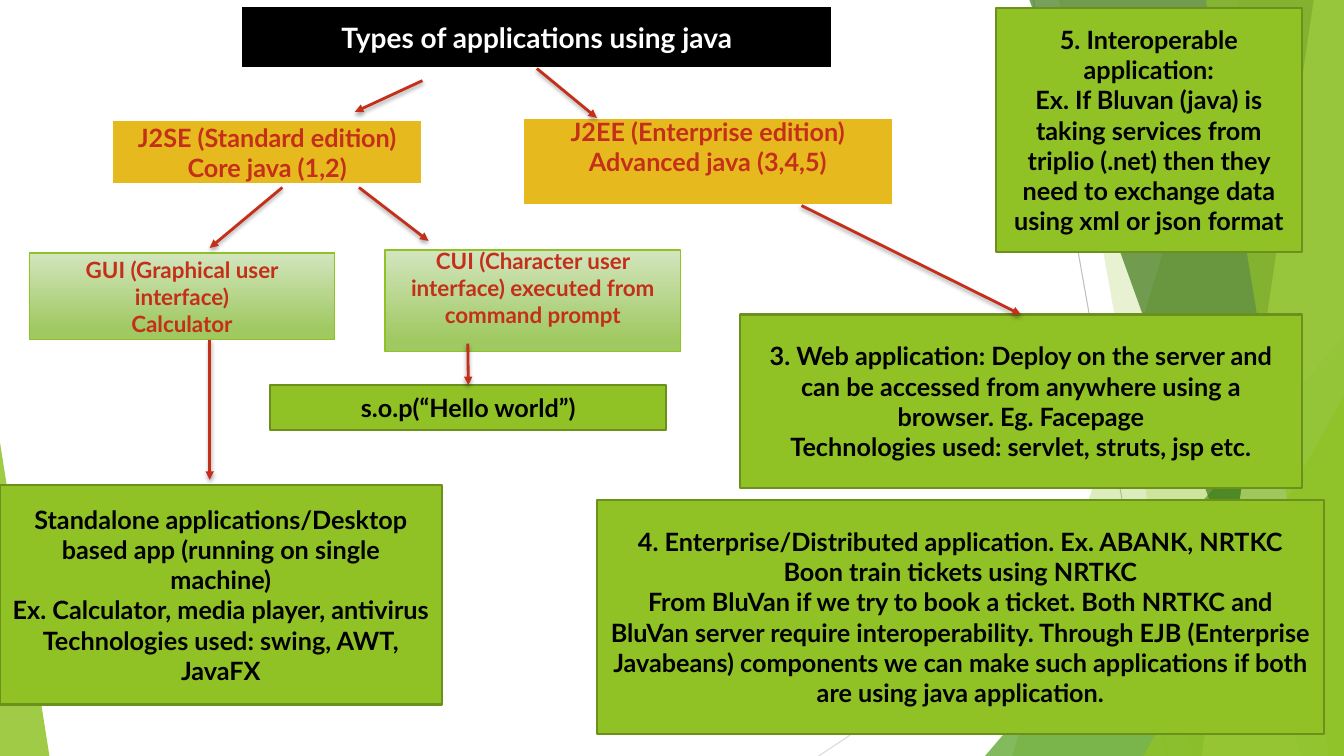
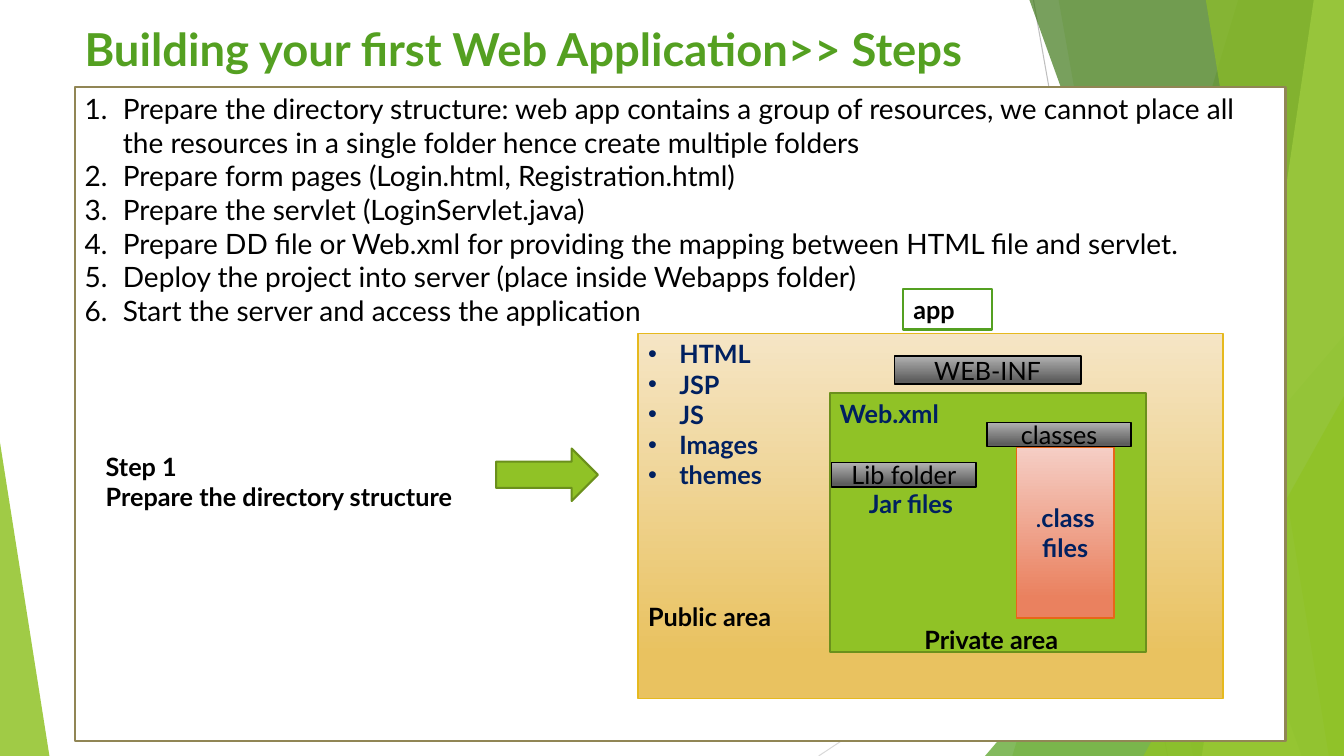
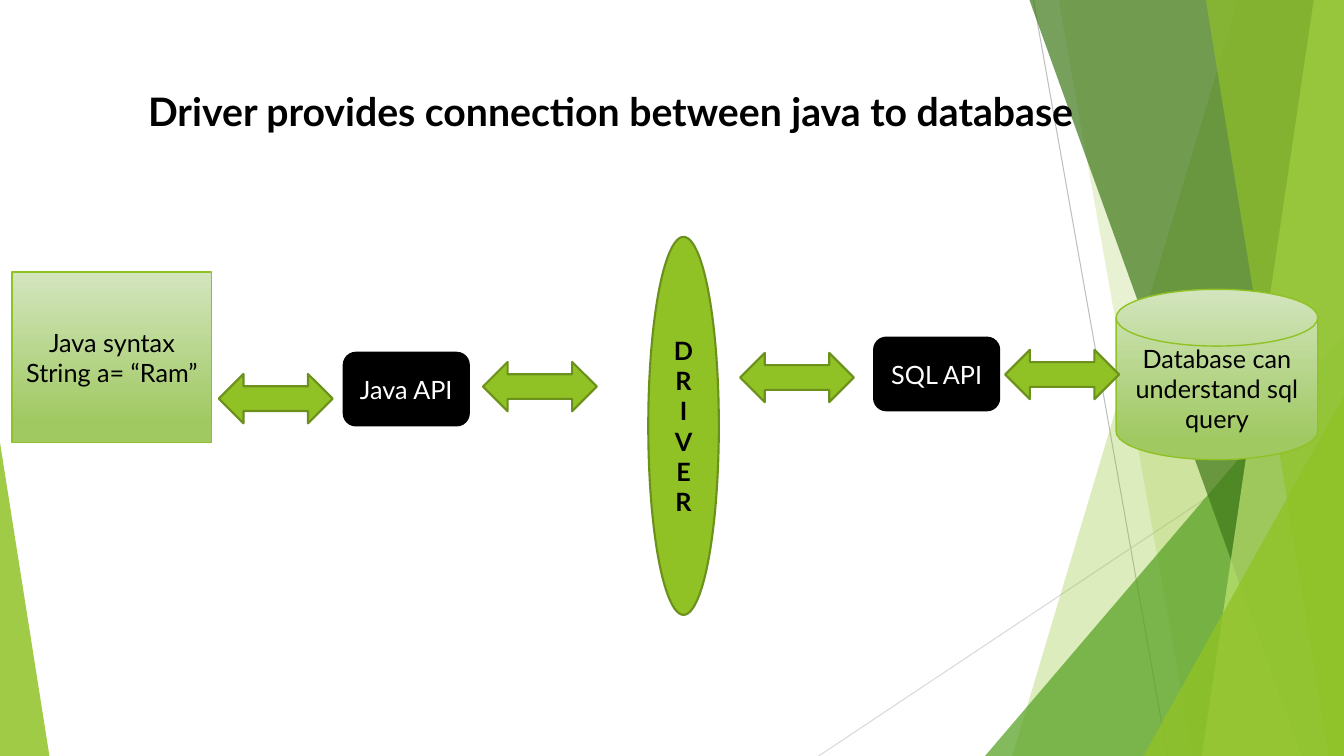
from dataclasses import dataclass, replace
from typing import Any, NamedTuple, Optional, Union

from lxml import etree
from pptx import Presentation
from pptx import slide as slides
from pptx import util as u
from pptx.dml.color import RGBColor
from pptx.enum import shapes, text
from pptx.oxml import ns
from pptx.shapes import autoshape, base, connector as connectors
from pptx.text import text as texts

PX = 9144
SLIDE_WIDTH, SLIDE_HEIGHT = 1333, 750
FONT = "Lato"

WHITE = RGBColor(0xFF, 0xFF, 0xFF)
BLACK = RGBColor(0x00, 0x00, 0x00)
LIME = RGBColor(0x90, 0xC2, 0x26)
DARK_LIME = RGBColor(0x6B, 0x90, 0x1C)
PALE_LIME = RGBColor(0xC0, 0xE4, 0x74)
GREEN = RGBColor(0x54, 0xA0, 0x21)
FOREST = RGBColor(0x3F, 0x78, 0x19)
GOLD = RGBColor(0xE6, 0xB9, 0x1E)
RED = RGBColor(0xC4, 0x2F, 0x1A)
ORANGE = RGBColor(0xE7, 0x66, 0x18)
NAVY = RGBColor(0x00, 0x20, 0x60)
OLIVE = RGBColor(0x91, 0x86, 0x55)
GRAY = RGBColor(0xBF, 0xBF, 0xBF)
LIGHT_GRAY = RGBColor(0xD9, 0xD9, 0xD9)

KIND = shapes.MSO_SHAPE
TOP, MIDDLE = text.MSO_ANCHOR.TOP, text.MSO_ANCHOR.MIDDLE
LEFT, CENTER = text.PP_ALIGN.LEFT, text.PP_ALIGN.CENTER


class Gradient(NamedTuple):
    start: RGBColor
    end: RGBColor


class Look(NamedTuple):
    fill: Union[RGBColor, Gradient]
    line: Optional[RGBColor] = None
    width: float = 1.5


@dataclass(frozen=True)
class Style:
    color: RGBColor = BLACK
    size: float = 18
    bold: bool = True
    align: text.PP_ALIGN = CENTER
    anchor: text.MSO_ANCHOR = MIDDLE


@dataclass(frozen=True)
class Box:
    left: int
    top: int
    width: int
    height: int
    look: Optional[Look] = None
    style: Style = Style()
    lines: tuple[str, ...] = ()
    kind: shapes.MSO_SHAPE = KIND.RECTANGLE
    bottom_inset: int = 5


class Line(NamedTuple):
    x1: int
    y1: int
    x2: int
    y2: int
    color: RGBColor = RED
    width: float = 2


class Facet(NamedTuple):
    top_x: int
    bottom_x: int
    color: RGBColor
    opacity: int


class Wedge(NamedTuple):
    left: int
    top: int
    width: int
    apex: int
    color: RGBColor
    opacity: int


LIME_LOOK = Look(LIME, DARK_LIME)
SOFT_LIME_LOOK = Look(Gradient(RGBColor(0xD3, 0xE5, 0xBE), RGBColor(0xA0, 0xC9, 0x62)), LIME, 1)
SOFT_GOLD_LOOK = Look(Gradient(RGBColor(0xF5, 0xE5, 0xC5), RGBColor(0xE9, 0xC2, 0x60)), GOLD, 1)
SOFT_RED_LOOK = Look(Gradient(RGBColor(0xF5, 0xCE, 0xC5), RGBColor(0xEA, 0x81, 0x5F)), ORANGE, 1)
STEEL_LOOK = Look(Gradient(RGBColor(0xB2, 0xB2, 0xB2), RGBColor(0x5E, 0x5E, 0x5E)), BLACK, 1)
GOLD_LOOK = Look(GOLD, WHITE, 2)
BLACK_LOOK = Look(BLACK, BLACK)

BOLD = Style()
PLAIN = Style(bold=False)
EDITION = Style(RED)
INTERFACE = Style(RED, 16)
LABEL = Style(align=LEFT, anchor=TOP)
NAVY_LABEL = replace(LABEL, color=NAVY)

BACKDROP_LINES = (
    Line(1025, 0, 1158, 750, GRAY, 0.75),
    Line(1333, 403, 812, 750, LIGHT_GRAY, 0.75),
)
BACKDROP_PANES = (
    Facet(1228, 1004, LIME, 30),
    Facet(1050, 1183, LIME, 20),
    Wedge(977, 333, 356, 1, GREEN, 72),
    Facet(1021, 1291, FOREST, 70),
    Facet(1303, 1192, PALE_LIME, 70),
    Facet(1196, 1318, LIME, 65),
    Wedge(1134, 393, 199, 1, LIME, 80),
    Wedge(0, 439, 49, 0, LIME, 85),
)


def set_all(target: Any, values: dict[str, Any]) -> None:
    for name, value in values.items():
        setattr(target, name, value)


def add_node(parent: Any, tag: str, **attributes: Any) -> Any:
    values = {name: str(value) for name, value in attributes.items()}
    return etree.SubElement(parent, ns.qn(tag), values)


def apply_look(shape: autoshape.Shape, look: Look) -> None:
    shape.shadow.inherit = False
    if isinstance(look.fill, Gradient):
        shape.fill.gradient()
        shape.fill.gradient_angle = 270
        for stop, color, position in zip(shape.fill.gradient_stops, look.fill, (0, 0.88)):
            stop.color.rgb = color
            stop.position = position
    else:
        shape.fill.solid()
        shape.fill.fore_color.rgb = look.fill
    if look.line is None:
        shape.line.fill.background()
    else:
        shape.line.color.rgb = look.line
        shape.line.width = u.Pt(look.width)


def add_run(paragraph: texts._Paragraph, words: str, style: Style) -> None:
    run = paragraph.add_run()
    run.text = words
    set_all(run.font, {"name": FONT, "size": u.Pt(style.size), "bold": style.bold})
    run.font.color.rgb = style.color


def add_box(slide: slides.Slide, box: Box) -> autoshape.Shape:
    place = [value * PX for value in (box.left, box.top, box.width, box.height)]
    if box.look is None:
        shape = slide.shapes.add_textbox(*place)
    else:
        shape = slide.shapes.add_shape(box.kind, *place)
        apply_look(shape, box.look)
    frame = shape.text_frame
    set_all(frame, {
        "word_wrap": True,
        "vertical_anchor": box.style.anchor,
        "margin_bottom": box.bottom_inset * PX,
    })
    for index, words in enumerate(box.lines):
        paragraph = frame.add_paragraph() if index else frame.paragraphs[0]
        paragraph.alignment = box.style.align
        add_run(paragraph, words, box.style)
    return shape


def indent(paragraph: texts._Paragraph, margin: int, first: int = 0) -> Any:
    properties = paragraph._p.get_or_add_pPr()
    properties.set("marL", str(margin * PX))
    properties.set("indent", str(first * PX))
    return properties


def add_list_marks(shape: autoshape.Shape, hang: int, tag: str, **mark: str) -> None:
    for paragraph in shape.text_frame.paragraphs:
        properties = indent(paragraph, hang, -hang)
        add_node(properties, "a:buFont", typeface="Arial" if "char" in mark else FONT)
        add_node(properties, tag, **mark)


def add_line(parent: Any, line: Line) -> tuple[connectors.Connector, Any]:
    ends = [value * PX for value in (line.x1, line.y1, line.x2, line.y2)]
    connector = parent.shapes.add_connector(shapes.MSO_CONNECTOR.STRAIGHT, *ends)
    connector.line.color.rgb = line.color
    connector.line.width = u.Pt(line.width)
    return connector, add_node(connector.element.spPr, "a:effectLst")


def add_arrow(
    slide: slides.Slide,
    line: Line,
    start: Optional[base.BaseShape] = None,
    end: Optional[base.BaseShape] = None,
) -> None:
    connector, effects = add_line(slide, line)
    add_node(connector.line._get_or_add_ln(), "a:tailEnd", type="triangle")
    shadow = add_node(
        effects, "a:outerShdw", blurRad=u.Pt(3), dist=u.Pt(2), dir=5400000, rotWithShape=0
    )
    add_node(add_node(shadow, "a:srgbClr", val=BLACK), "a:alpha", val=35000)
    if start is not None:
        connector.begin_connect(start, 2)
    if end is not None:
        connector.end_connect(end, 0)


def add_pane(group: Any, pane: Union[Facet, Wedge]) -> None:
    if isinstance(pane, Facet):
        builder = group.shapes.build_freeform(pane.top_x, 0, PX)
        corners = [(SLIDE_WIDTH, 0), (SLIDE_WIDTH, SLIDE_HEIGHT), (pane.bottom_x, SLIDE_HEIGHT)]
        builder.add_line_segments(corners, close=True)
        shape = builder.convert_to_shape()
    else:
        place = (pane.left, pane.top, pane.width, SLIDE_HEIGHT - pane.top)
        shape = group.shapes.add_shape(KIND.ISOSCELES_TRIANGLE, *(value * PX for value in place))
        shape.adjustments[0] = pane.apex
    apply_look(shape, Look(pane.color))
    color = shape.element.spPr.find(".//" + ns.qn("a:srgbClr"))
    add_node(color, "a:alpha", val=pane.opacity * 1000)


def move_backdrop_to_master(slide: slides.Slide, master: slides.SlideMaster) -> None:
    group = slide.shapes.add_group_shape()
    for line in BACKDROP_LINES:
        add_line(group, line)
    for pane in BACKDROP_PANES:
        add_pane(group, pane)
    for number, properties in enumerate(group.element.iter(ns.qn("p:cNvPr")), 100):
        properties.set("id", str(number))
    master.element.cSld.spTree.insert(2, group.element)


def build_application_types(slide: slides.Slide) -> None:
    title = add_box(slide, Box(239, 6, 587, 62, Look(BLACK, WHITE, 2), Style(WHITE, 20),
                               ("Types of applications using java",)))
    boxes = (
        Box(111, 119, 308, 64, GOLD_LOOK, EDITION,
            ("J2SE (Standard edition)", "Core java (1,2)")),
        Box(0, 481, 438, 218, LIME_LOOK, BOLD, (
            "Standalone applications/Desktop based app (running on single machine)",
            "Ex. Calculator, media player, antivirus",
            "Technologies used: swing, AWT, JavaFX")),
        Box(592, 496, 721, 232, LIME_LOOK, BOLD, (
            "4. Enterprise/Distributed application. Ex. ABANK, NRTKC",
            "Boon train tickets using NRTKC",
            "From BluVan if we try to book a ticket. Both NRTKC and BluVan server require "
            "interoperability. Through EJB (Enterprise Javabeans) components we can make such "
            "applications if both are using java application.")),
        Box(518, 117, 368, 87, GOLD_LOOK, EDITION,
            ("J2EE (Enterprise edition) Advanced java (3,4,5)",), bottom_inset=35),
        Box(988, 8, 303, 242, LIME_LOOK, BOLD, (
            "5. Interoperable application:",
            "Ex. If Bluvan (java) is taking services from triplio (.net) then they need to "
            "exchange data using xml or json format")),
        Box(29, 251, 303, 86, SOFT_LIME_LOOK, INTERFACE,
            ("GUI (Graphical user interface)", "Calculator")),
        Box(382, 248, 293, 101, SOFT_LIME_LOOK, INTERFACE,
            ("CUI (Character user interface) executed from command prompt",), bottom_inset=32),
    )
    for box in boxes:
        add_box(slide, box)
    web = add_box(slide, Box(734, 312, 557, 172, LIME_LOOK, BOLD, (
        "3. Web application: Deploy on the server and can be accessed from anywhere using a "
        "browser. Eg. Facepage",
        "Technologies used: servlet, struts, jsp etc.")))
    hello = add_box(slide, Box(268, 382, 393, 45, LIME_LOOK, BOLD, ("s.o.p(“Hello world”)",)))
    for line in (
        Line(280, 186, 208, 246),
        Line(419, 80, 352, 111),
        Line(356, 186, 425, 239),
        Line(208, 337, 208, 476),
    ):
        add_arrow(slide, line)
    add_arrow(slide, Line(533, 68, 592, 117), start=title)
    add_arrow(slide, Line(795, 204, 1009, 312), end=web)
    add_arrow(slide, Line(464, 341, 464, 382), end=hello)


def build_web_steps(slide: slides.Slide) -> None:
    add_box(slide, Box(74, 16, 1222, 33, None, replace(LABEL, color=GREEN, size=32.4),
                       ("Building your first Web Application>> Steps",)))
    steps = add_box(slide, Box(
        74, 86, 1201, 649, Look(WHITE, OLIVE), replace(LABEL, size=20, bold=False), (
            "Prepare the directory structure: web app contains a group of resources, we cannot "
            "place all the resources in a single folder hence create multiple folders",
            "Prepare form pages (Login.html, Registration.html)",
            "Prepare the servlet (LoginServlet.java)",
            "Prepare DD file or Web.xml for providing the mapping between HTML file and servlet.",
            "Deploy the project into server (place inside Webapps folder)",
            "Start the server and access the application")))
    add_list_marks(steps, 38, "a:buAutoNum", type="arabicPeriod")
    public = add_box(slide, Box(633, 331, 580, 362, SOFT_GOLD_LOOK, NAVY_LABEL,
                                ("HTML", "JSP", "JS", "Images", "themes")))
    add_list_marks(public, 31, "a:buChar", char="•")
    private = add_box(slide, Box(823, 390, 314, 257, LIME_LOOK, NAVY_LABEL,
                                 ("Web.xml", "Jar files")))
    jar_files = private.text_frame.paragraphs[1]
    jar_files.space_before = u.Pt(43)
    indent(jar_files, 29)
    classes = add_box(slide, Box(1008, 444, 97, 169, SOFT_RED_LOOK,
                                 Style(NAVY, bold=False), (".",)))
    add_run(classes.text_frame.paragraphs[0], "class files", Style(NAVY))
    for box in (
        Box(896, 287, 88, 40, Look(WHITE, GREEN), LABEL, ("app",)),
        Box(825, 459, 143, 24, STEEL_LOOK, PLAIN, ("Lib folder",)),
        Box(979, 419, 143, 24, STEEL_LOOK, PLAIN, ("classes",)),
        Box(887, 353, 185, 28, STEEL_LOOK, PLAIN, ("WEB-INF",)),
        Box(95, 443, 375, 71, None, LABEL, ("Step 1", "Prepare the directory structure")),
        Box(492, 445, 101, 52, LIME_LOOK, kind=KIND.RIGHT_ARROW),
        Box(633, 592, 153, 40, None, LABEL, ("Public area",)),
        Box(907, 614, 165, 40, None, LABEL, ("Private area",)),
    ):
        add_box(slide, box)


def build_driver(slide: slides.Slide) -> None:
    add_box(slide, Box(1107, 287, 200, 169, SOFT_LIME_LOOK, PLAIN,
                       ("Database can understand sql query",), KIND.FLOWCHART_MAGNETIC_DISK))
    for left, top, name in ((341, 350, "Java API"), (867, 335, "SQL API")):
        add_box(slide, Box(left, top, 124, 72, BLACK_LOOK, replace(PLAIN, color=WHITE),
                           (name,), KIND.ROUNDED_RECTANGLE))
    for left, top in ((217, 371), (997, 347), (479, 359), (734, 350)):
        add_box(slide, Box(left, top, 113, 49, LIME_LOOK, kind=KIND.LEFT_RIGHT_ARROW))
    add_box(slide, Box(643, 235, 70, 375, LIME_LOOK, BOLD, tuple("DRIVER"), KIND.OVAL))
    add_box(slide, Box(12, 270, 198, 169, SOFT_LIME_LOOK, PLAIN,
                       ("Java syntax", "String a= “Ram”")))
    add_box(slide, Box(137, 82, 1005, 57, None, replace(LABEL, size=28),
                       ("Driver provides connection between java to database",)))


def main() -> None:
    presentation = Presentation()
    set_all(presentation, {"slide_width": SLIDE_WIDTH * PX, "slide_height": SLIDE_HEIGHT * PX})
    blank = presentation.slide_layouts[6]
    for index, build in enumerate((build_application_types, build_web_steps, build_driver)):
        slide = presentation.slides.add_slide(blank)
        if index == 0:
            move_backdrop_to_master(slide, presentation.slide_master)
        build(slide)
    presentation.save("out.pptx")


if __name__ == "__main__":
    main()
